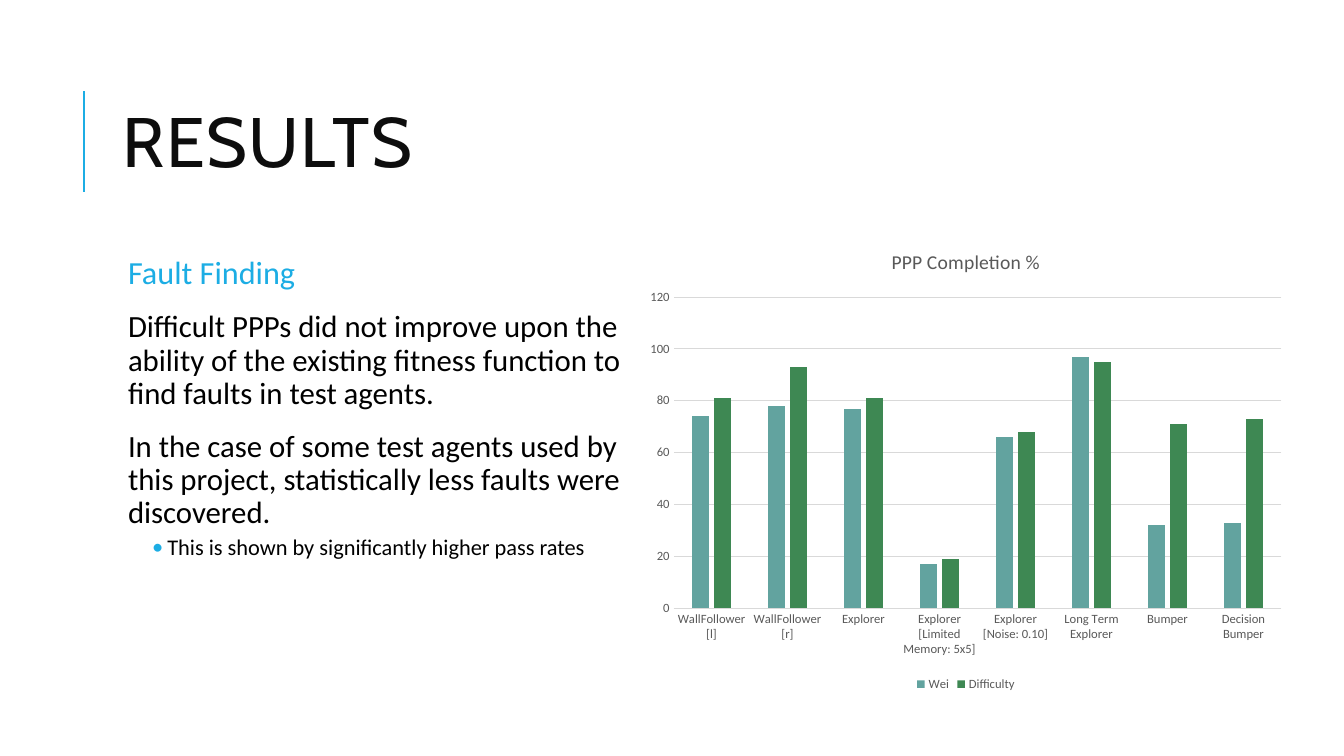
from lxml import etree
from pptx import Presentation
from pptx.chart.data import CategoryChartData
from pptx.dml.color import RGBColor
from pptx.enum.chart import XL_CHART_TYPE, XL_LEGEND_POSITION, XL_TICK_MARK
from pptx.enum.shapes import MSO_CONNECTOR
from pptx.enum.text import MSO_ANCHOR
from pptx.oxml.ns import qn
from pptx.util import Inches, Pt

COLUMNS = XL_CHART_TYPE.COLUMN_CLUSTERED
BOTTOM = XL_LEGEND_POSITION.BOTTOM
NO_TICK = XL_TICK_MARK.NONE
STRAIGHT = MSO_CONNECTOR.STRAIGHT
MIDDLE = MSO_ANCHOR.MIDDLE

BLUE = RGBColor(0x1C, 0xAD, 0xE4)
INK = RGBColor(0x0D, 0x0D, 0x0D)
BLACK = RGBColor(0, 0, 0)
GRAY = RGBColor(0x59, 0x59, 0x59)
LIGHT_GRAY = RGBColor(0xD9, 0xD9, 0xD9)
TEAL = RGBColor(0x62, 0xA3, 0x9F)
GREEN = RGBColor(0x3E, 0x88, 0x53)

TITLE = "RESULTS"
BODY = [
    ("Fault Finding", 23, BLUE, False),
    ("Difficult PPPs did not improve upon the ability of the existing fitness "
     "function to find faults in test agents.", 22, BLACK, False),
    ("In the case of some test agents used by this project, statistically less "
     "faults were discovered.", 22, BLACK, False),
    ("This is shown by significantly higher pass rates", 16, BLACK, True),
]
CHART_TITLE = "PPP Completion %"
AGENTS = ["WallFollower [l]", "WallFollower [r]", "Explorer",
          "Explorer [Limited Memory: 5x5]", "Explorer [Noise: 0.10]",
          "Long Term Explorer", "Bumper", "Decision Bumper"]
SERIES = [
    ("Wei", [74, 78, 77, 17, 66, 97, 32, 33], TEAL),
    ("Difficulty", [81, 93, 81, 19, 68, 95, 71, 73], GREEN),
]


def set_font(font, name, size, color):
    font.name = name
    font.size = Pt(size)
    font.bold = False
    font.color.rgb = color


def add_text_box(slide, left, top, width, height):
    box = slide.shapes.add_textbox(Inches(left), Inches(top), Inches(width), Inches(height))
    box.text_frame.word_wrap = True
    return box.text_frame


def set_indent(paragraph, bulleted):
    properties = paragraph._p.get_or_add_pPr()
    properties.set("marL", str(Inches(0.49 if bulleted else 0.1)))
    properties.set("indent", str(Inches(-0.15 if bulleted else 0)))
    if bulleted:
        properties.set("lvl", "1")
        bullet_color = etree.SubElement(properties, qn("a:buClr"))
        etree.SubElement(bullet_color, qn("a:srgbClr"), val=str(BLUE))
        etree.SubElement(properties, qn("a:buFont"), typeface="Calibri")
        etree.SubElement(properties, qn("a:buChar"), char="•")


def add_title(slide):
    rule = slide.shapes.add_connector(STRAIGHT, Inches(0.83), Inches(1.9),
                                      Inches(0.83), Inches(0.9))
    rule.line.color.rgb = BLUE
    rule.line.width = Pt(1.5)
    etree.SubElement(rule._element.spPr, qn("a:effectLst"))

    frame = add_text_box(slide, 1.12, 0.64, 10.63, 1.64)
    frame.vertical_anchor = MIDDLE
    paragraph = frame.paragraphs[0]
    paragraph.text = TITLE
    paragraph.line_spacing = 0.8
    run = paragraph.runs[0]
    set_font(run.font, "Cabin", 50, INK)
    run._r.get_or_add_rPr().set("spc", "100")


def add_body(slide):
    frame = add_text_box(slide, 1.12, 2.5, 5.2, 4.4)
    frame.margin_left = frame.margin_right = Inches(0.05)
    frame.margin_top = frame.margin_bottom = Inches(0.05)
    for index, (text, size, color, bulleted) in enumerate(BODY):
        paragraph = frame.add_paragraph() if index else frame.paragraphs[0]
        paragraph.text = text
        set_indent(paragraph, bulleted)
        paragraph.line_spacing = 0.9
        if index:
            paragraph.space_before = Pt(2 if bulleted else 12)
        paragraph.space_after = Pt(4 if bulleted else 2)
        set_font(paragraph.runs[0].font, "Calibri", size, color)


def add_completion_chart(slide):
    data = CategoryChartData()
    data.categories = AGENTS
    for name, values, _ in SERIES:
        data.add_series(name, values)
    chart = slide.shapes.add_chart(COLUMNS, Inches(6.32), Inches(2.28),
                                   Inches(6.52), Inches(4.62), data).chart
    set_font(chart.font, "Calibri", 10, BLACK)

    chart.has_title = True
    title_frame = chart.chart_title.text_frame
    title_frame.text = CHART_TITLE
    set_font(title_frame.paragraphs[0].runs[0].font, "Calibri", 14, GRAY)
    chart.chart_title.include_in_layout = False

    chart.has_legend = True
    chart.legend.position = BOTTOM
    chart.legend.include_in_layout = False
    set_font(chart.legend.font, "Calibri", 9, GRAY)

    for axis in (chart.category_axis, chart.value_axis):
        axis.major_tick_mark = axis.minor_tick_mark = NO_TICK
        set_font(axis.tick_labels.font, "Calibri", 9, GRAY)
    chart.value_axis.minimum_scale = 0
    chart.value_axis.maximum_scale = 120
    chart.value_axis.major_unit = 20
    chart.value_axis.format.line.fill.background()
    for line in (chart.category_axis.format.line,
                 chart.value_axis.major_gridlines.format.line):
        line.color.rgb = LIGHT_GRAY
        line.width = Pt(0.75)

    plot = chart.plots[0]
    plot.gap_width = 219
    plot.overlap = -27
    plot.vary_by_categories = False
    for series, (_, _, color) in zip(plot.series, SERIES):
        series.format.fill.solid()
        series.format.fill.fore_color.rgb = color


def main():
    presentation = Presentation()
    presentation.slide_width = Inches(13.33)
    presentation.slide_height = Inches(7.5)
    slide = presentation.slides.add_slide(presentation.slide_layouts[6])
    add_title(slide)
    add_body(slide)
    add_completion_chart(slide)
    presentation.save("out.pptx")


if __name__ == "__main__":
    main()
